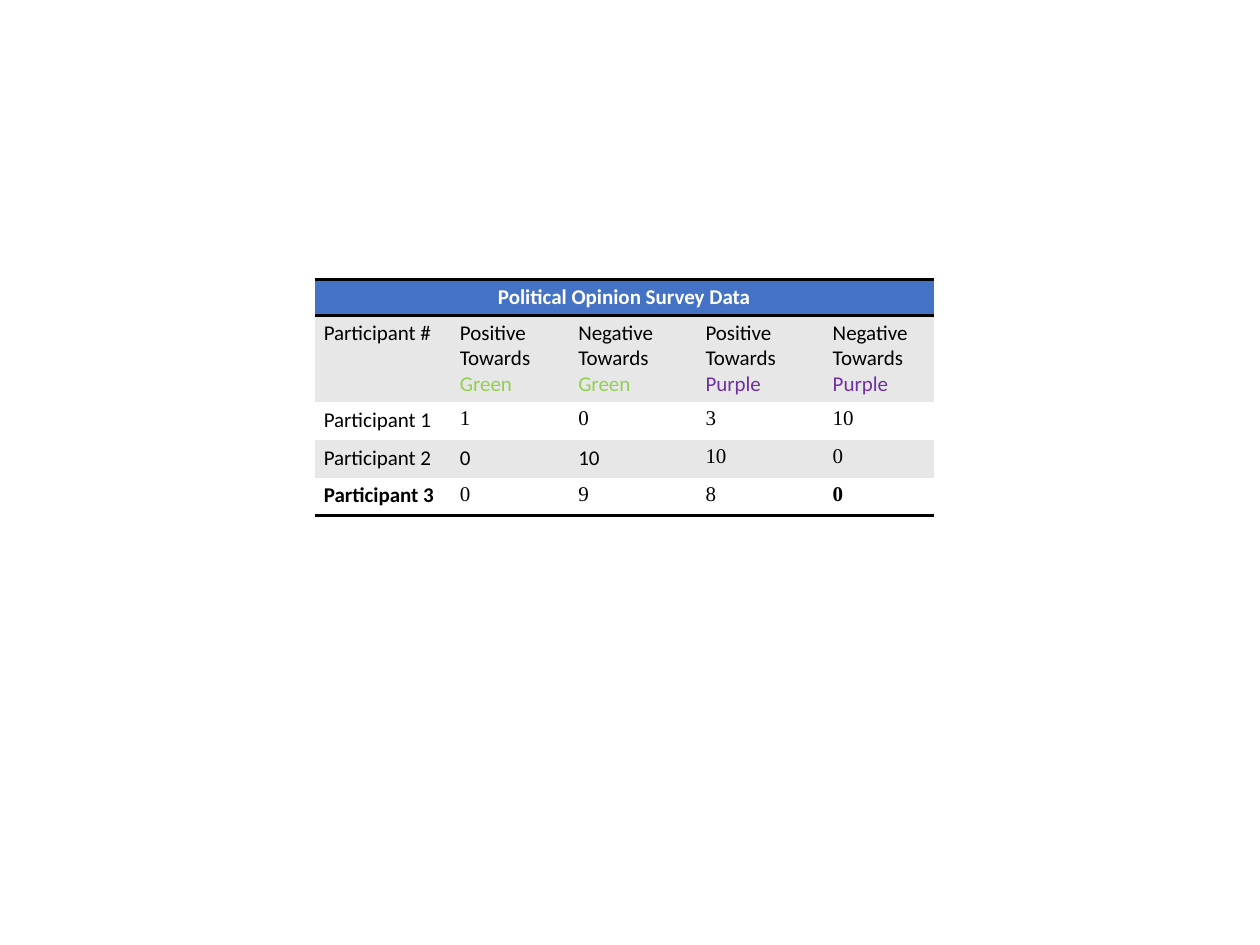
from dataclasses import dataclass

from lxml.etree import SubElement
from pptx import Presentation
from pptx.dml.color import RGBColor as RGB
from pptx.enum.text import PP_ALIGN as Align
from pptx.oxml.ns import qn
from pptx.util import Inches, Pt


@dataclass(frozen=True)
class Theme:
    header: str = "4472C4"
    band: str = "E7E7E7"
    white: str = "FFFFFF"
    black: str = "000000"
    green: str = "92D050"
    purple: str = "7030A0"
    sans: str = "Calibri"
    serif: str = "Times New Roman"
    size: int = 12
    rule: int = 2


THEME = Theme()
NO_GRID_STYLE = "{2D5ABB26-0587-4C30-8999-92F81FD0307C}"
COL_WIDTHS = [1.08, 0.94, 1.01, 1.01, 0.87]
ROW_HEIGHTS = [0.28, 0.68, 0.3, 0.3, 0.3]

TITLE = "Political Opinion Survey Data"
PARTIES = [("Green", THEME.green), ("Purple", THEME.purple)]
FEELINGS = ["Positive", "Negative"]
SCORES = [("1", "0", "3", "10"), ("0", "10", "10", "0"), ("0", "9", "8", "0")]
SANS_SCORES = {(2, 1), (2, 2)}  # (participant, column)
BOLD_CELLS = {(3, 0), (3, 4)}


def add_rule(cell, side):
    """Draw a black line on one side of a cell: T or B."""
    tc_pr = cell._tc.get_or_add_tcPr()
    ln = SubElement(tc_pr, qn(f"a:ln{side}"), w=str(Pt(THEME.rule)))
    fill = SubElement(ln, qn("a:solidFill"))
    SubElement(fill, qn("a:srgbClr"), val=THEME.black)


def fill_cell(cell, color, rules=""):
    for side in rules:
        add_rule(cell, side)
    cell.margin_left = cell.margin_right = Inches(0.07)
    cell.margin_top = cell.margin_bottom = Inches(0.04)
    cell.fill.solid()
    cell.fill.fore_color.rgb = RGB.from_string(color)


def write_cell(cell, runs, font=THEME.sans, bold=False, align=Align.LEFT):
    """Write (text, color) runs into a cell."""
    p = cell.text_frame.paragraphs[0]
    p.alignment = align
    p.font.name, p.font.size, p.font.bold = font, Pt(THEME.size), bold
    for text, color in runs:
        r = p.add_run()
        r.text = text
        r.font.color.rgb = RGB.from_string(color)


def add_plain_table(s, left, top):
    frame = s.shapes.add_table(
        len(ROW_HEIGHTS), len(COL_WIDTHS), Inches(left), Inches(top),
        Inches(sum(COL_WIDTHS)), Inches(sum(ROW_HEIGHTS)))
    table = frame.table
    table.first_row = table.horz_banding = False
    table._tbl.tblPr.find(qn("a:tableStyleId")).text = NO_GRID_STYLE
    for col, width in zip(table.columns, COL_WIDTHS):
        col.width = Inches(width)
    for row, height in zip(table.rows, ROW_HEIGHTS):
        row.height = Inches(height)
    return table


def add_header(table):
    # Title across all columns
    for cell in table.rows[0].cells:
        fill_cell(cell, THEME.header, "TB")
    title = table.cell(0, 0)
    title.merge(table.cell(0, len(COL_WIDTHS) - 1))
    write_cell(title, [(TITLE, THEME.white)], bold=True, align=Align.CENTER)

    # Column headings
    headings = [[("Participant #", THEME.black)]]
    headings += [[(f"{feeling} Towards ", THEME.black), party]
                 for party in PARTIES for feeling in FEELINGS]
    for cell, runs in zip(table.rows[1].cells, headings):
        fill_cell(cell, THEME.band)
        write_cell(cell, runs)


def add_participants(table):
    for n, scores in enumerate(SCORES, 1):
        color = THEME.white if n % 2 else THEME.band
        rules = "B" if n == len(SCORES) else ""
        for c, text in enumerate((f"Participant {n}", *scores)):
            cell = table.cell(n + 1, c)
            sans = c == 0 or (n, c) in SANS_SCORES
            fill_cell(cell, color, rules)
            write_cell(cell, [(text, THEME.black)],
                       font=THEME.sans if sans else THEME.serif,
                       bold=(n, c) in BOLD_CELLS)


def main():
    prs = Presentation()
    prs.slide_width, prs.slide_height = Inches(10), Inches(7.5)
    s = prs.slides.add_slide(prs.slide_layouts[6])

    # Survey table
    table = add_plain_table(s, 2.5, 2.22)
    add_header(table)
    add_participants(table)
    prs.save("out.pptx")


if __name__ == "__main__":
    main()
